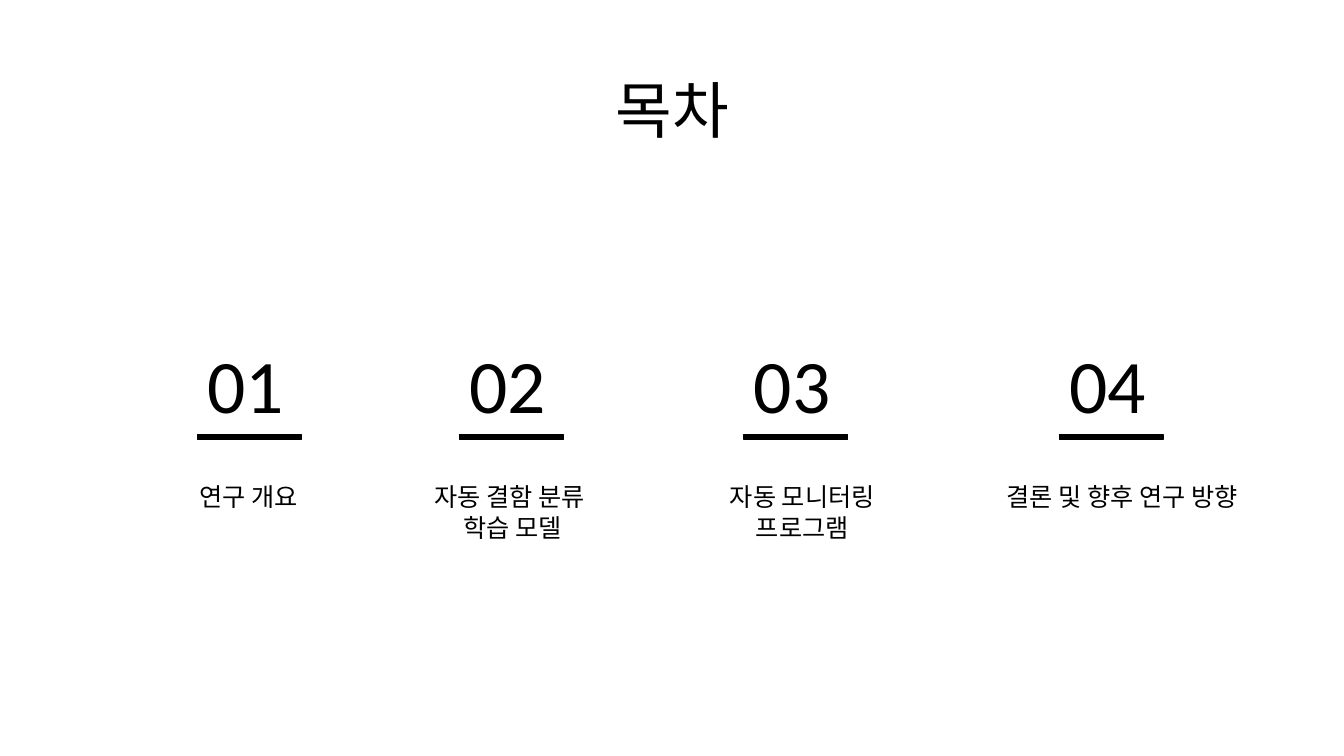
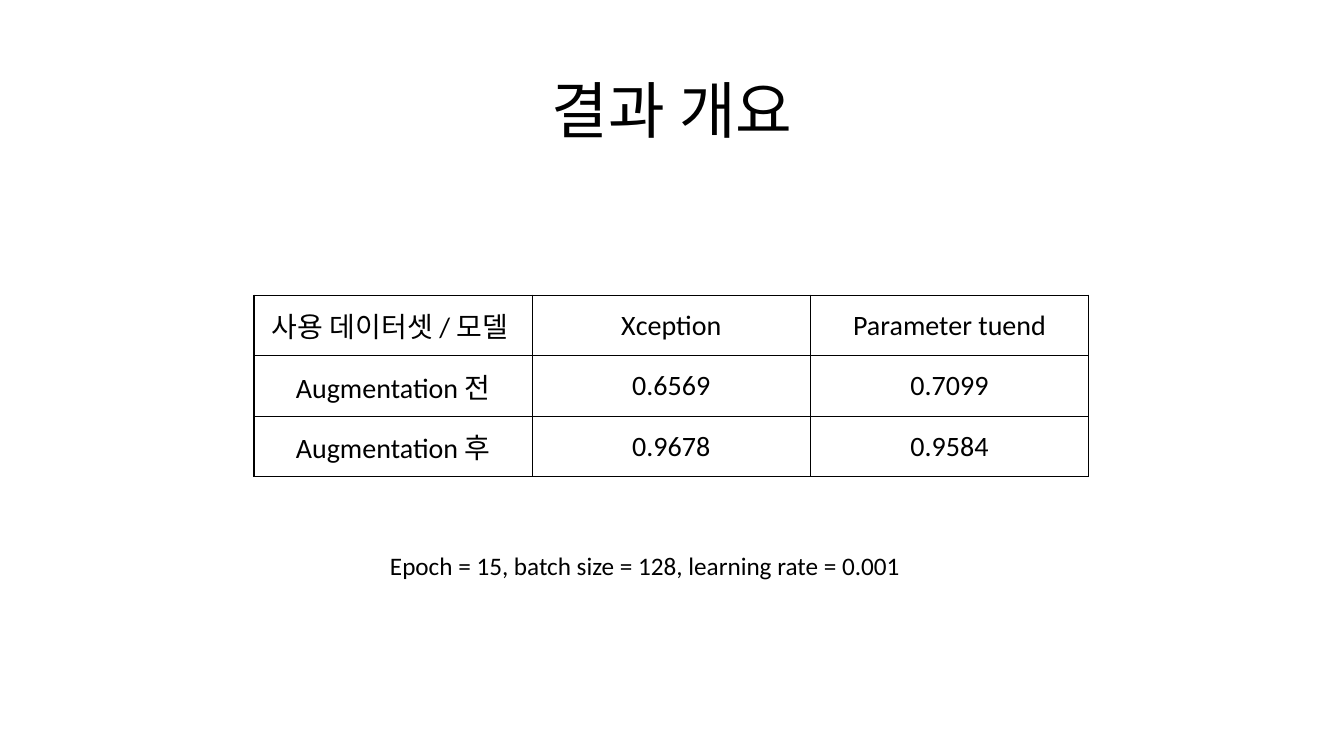
from lxml.etree import SubElement
from pptx import Presentation
from pptx.dml.color import RGBColor
from pptx.enum.shapes import MSO_SHAPE as Shape
from pptx.enum.text import MSO_ANCHOR as Anchor, PP_ALIGN as Align
from pptx.oxml.ns import qn
from pptx.util import Inches, Pt

BLACK = RGBColor(0x00, 0x00, 0x00)
FONT = "Calibri"
UNIT = Inches(0.1)
SLIDE_SIZE = (133.33, 75)
TITLE_BOX = (9.2, 4, 115, 14.5)
TITLE_FORMAT = {"size": Pt(44), "name": FONT, "bold": False}
NUMBER_FORMAT = {"size": Pt(54), "name": FONT, "bold": False}
TEXT_FORMAT = {"size": Pt(18), "name": FONT, "bold": False}
CELL_FORMAT = {"size": Pt(20), "name": FONT, "bold": False}
CELL_MARGINS = {"margin_left": Inches(0.07), "margin_right": Inches(0.07),
                "margin_top": 0, "margin_bottom": 0}

AGENDA_TOP = 33
NUMBER_SIZE = (11.5, 10.1)
RULE_SIZE = (10.3, 0.5)
LABEL_OFFSET = 14.3
AGENDA = [
    (19.6, 24.7, 12, ["연구 개요"]),
    (45.6, 50.85, 18.1, ["자동 결함 분류 ", "학습 모델"]),
    (73.8, 79.6, 16.6, ["자동 모니터링", "프로그램"]),
    (105.1, 111.35, 25.7, ["결론 및 향후 연구 방향"]),
]

RESULTS_BOX = (25.2, 29.3, 82.8, 18)
RESULTS = [
    ["사용 데이터셋 / 모델 ", "Xception", "Parameter tuend"],
    ["Augmentation 전", "0.6569", "0.7099"],
    ["Augmentation 후", "0.9678", "0.9584"],
]
SETTINGS_BOX = (37.7, 54.1, 57.8, 4)
SETTINGS = "Epoch = 15, batch size = 128, learning rate = 0.001"


def grid(*lengths):
    """Turn grid units into slide lengths."""
    return [round(length * UNIT) for length in lengths]


def set_all(target, values):
    """Set every attribute given in a dict."""
    for name, value in values.items():
        setattr(target, name, value)


def write(frame, lines, format_values, align):
    """Write one formatted paragraph for each line."""
    for index, line in enumerate(lines):
        paragraph = frame.add_paragraph() if index else frame.paragraphs[0]
        paragraph.alignment = align
        run = paragraph.add_run()
        run.text = line
        set_all(run.font, format_values)
        run.font.color.rgb = BLACK


def add_text(shapes, box, lines, format_values, align=Align.LEFT):
    """Add an unwrapped text box."""
    frame = shapes.add_textbox(*grid(*box)).text_frame
    frame.word_wrap = False
    write(frame, lines, format_values, align)


def add_titled_slide(presentation, title):
    """Add a slide with the shared title style."""
    slide = presentation.slides.add_slide(presentation.slide_layouts[5])
    frame = slide.shapes.title.text_frame
    frame.vertical_anchor = Anchor.MIDDLE
    write(frame, [title], TITLE_FORMAT, Align.CENTER)
    frame.paragraphs[0].line_spacing = 0.9
    return slide


def add_agenda_item(slide, left, top, number, center, width, lines):
    """Group a number, its rule and its centred label."""
    shapes = slide.shapes.add_group_shape().shapes
    label_box = (center - width / 2, top + LABEL_OFFSET, width, 1 + 3 * len(lines))
    add_text(shapes, label_box, lines, TEXT_FORMAT, Align.CENTER)
    add_text(shapes, (left, top, *NUMBER_SIZE), [f"{number:02}"], NUMBER_FORMAT)
    rule = shapes.add_shape(
        Shape.RECTANGLE, *grid(left, top + NUMBER_SIZE[1], *RULE_SIZE))
    rule.shadow.inherit = False
    rule.fill.solid()
    rule.fill.fore_color.rgb = BLACK
    rule.line.color.rgb = BLACK
    rule.line.width = Pt(1)


def add_borders(cell):
    """Draw a thin line on each side of a cell."""
    properties = cell._tc.get_or_add_tcPr()
    for index, side in enumerate(("a:lnL", "a:lnR", "a:lnT", "a:lnB")):
        line = properties.makeelement(qn(side), {"w": str(Pt(1))})
        properties.insert(index, line)
        fill = SubElement(line, qn("a:solidFill"))
        SubElement(fill, qn("a:srgbClr"), val=str(BLACK))


def add_results_table(slide, box, rows):
    """Add a bordered table with equal columns and rows."""
    table = slide.shapes.add_table(len(rows), len(rows[0]), *grid(*box)).table
    table.first_row = table.horz_banding = False
    for row_index, row in enumerate(rows):
        for column_index, value in enumerate(row):
            cell = table.cell(row_index, column_index)
            cell.fill.background()
            cell.vertical_anchor = Anchor.MIDDLE
            set_all(cell, CELL_MARGINS)
            write(cell.text_frame, [value], CELL_FORMAT, Align.CENTER)
            add_borders(cell)


def build_agenda(presentation):
    """Build the contents slide."""
    slide = add_titled_slide(presentation, "목차")
    for number, (left, center, width, lines) in enumerate(AGENDA, 1):
        add_agenda_item(slide, left, AGENDA_TOP, number, center, width, lines)


def build_results(presentation):
    """Build the results slide."""
    slide = add_titled_slide(presentation, "결과 개요")
    add_results_table(slide, RESULTS_BOX, RESULTS)
    add_text(slide.shapes, SETTINGS_BOX, [SETTINGS], TEXT_FORMAT)


def main():
    """Build and save the presentation."""
    presentation = Presentation()
    presentation.slide_width, presentation.slide_height = grid(*SLIDE_SIZE)
    title = presentation.slide_layouts[5].placeholders[0]
    set_all(title, dict(zip(("left", "top", "width", "height"), grid(*TITLE_BOX))))
    build_agenda(presentation)
    build_results(presentation)
    presentation.save("out.pptx")


if __name__ == "__main__":
    main()
